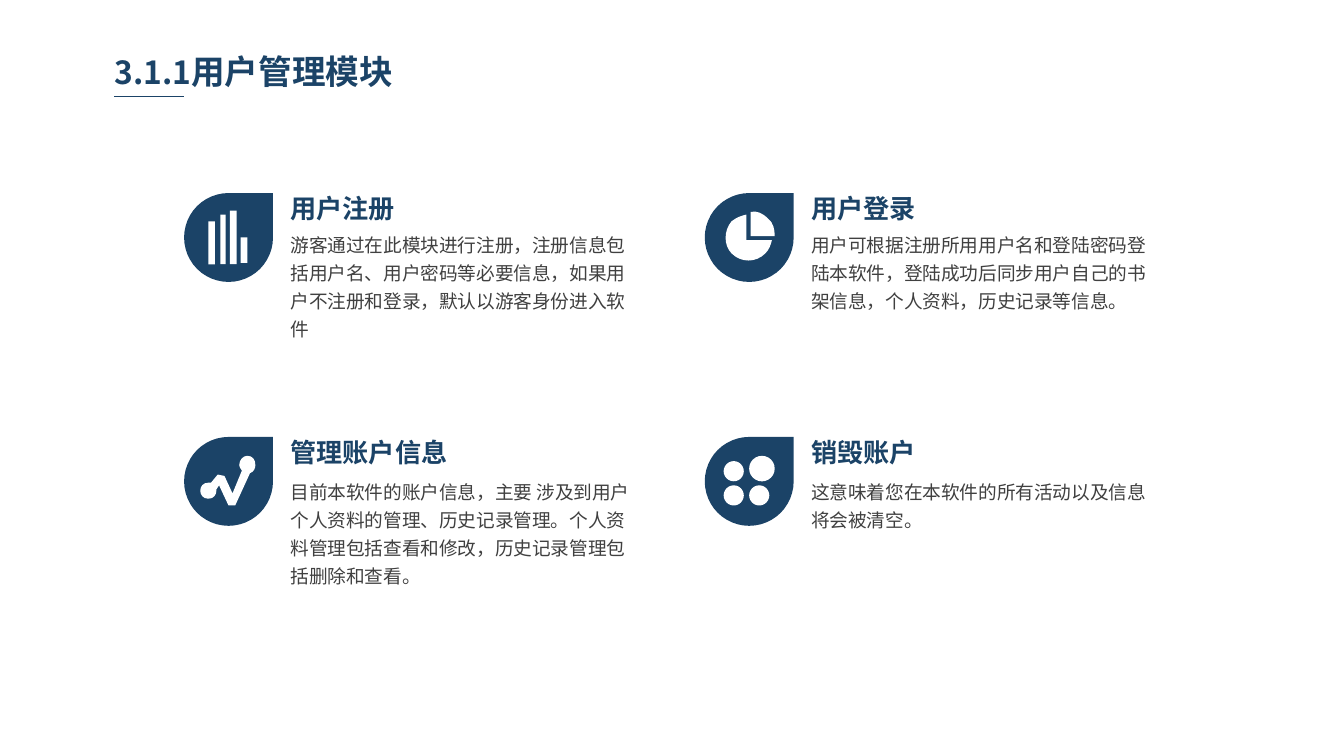
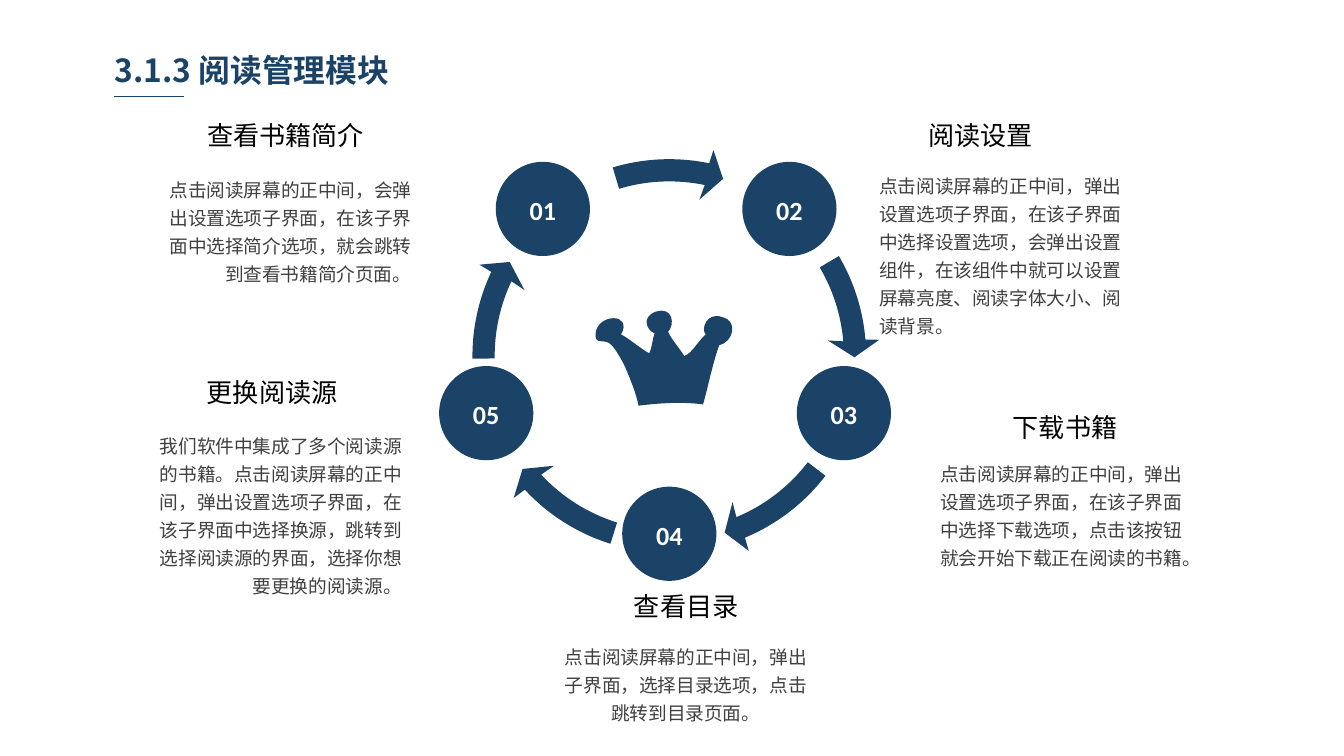
from math import cos, radians, sin, tan

from lxml import etree
from pptx import Presentation
from pptx.dml.color import RGBColor
from pptx.enum.shapes import MSO_CONNECTOR, MSO_SHAPE
from pptx.enum.text import MSO_ANCHOR, MSO_AUTO_SIZE, PP_ALIGN
from pptx.oxml.ns import qn
from pptx.util import Cm, Pt

NAVY = RGBColor(0x1B, 0x43, 0x67)
GREY = RGBColor(0x40, 0x40, 0x40)
BLACK = RGBColor(0, 0, 0)
WHITE = RGBColor(0xFF, 0xFF, 0xFF)
CJK = "Noto Sans CJK SC"
LATIN = "Calibri"

LEFT, CENTER, RIGHT = PP_ALIGN.LEFT, PP_ALIGN.CENTER, PP_ALIGN.RIGHT
TOP = MSO_ANCHOR.TOP
NO_FIT = MSO_AUTO_SIZE.NONE
RECT, OVAL, TEARDROP = MSO_SHAPE.RECTANGLE, MSO_SHAPE.OVAL, MSO_SHAPE.TEAR
STRAIGHT = MSO_CONNECTOR.STRAIGHT

TITLE_ONLY = 5
ICON_UNIT = Cm(0.0254)

# Each outline has a box (left, top, width, height) and steps in icon units:
# a pair is a straight step, six numbers are a cubic curve.
PIE_BODY = ((14, 16, 36, 36), [
    (31, 16), (27, 17, 24, 18, 20, 21), (14, 28, 14, 39, 20, 45),
    (27, 52, 38, 52, 45, 45), (48, 42, 49, 39, 50, 35), (31, 35)])
PIE_SLICE = ((34, 13, 19, 19), [
    (47, 19), (43, 15, 39, 13, 34, 14), (34, 32), (52, 32),
    (52, 27, 51, 22, 47, 19)])
TREND = ((12, 14, 42, 37), [
    (53, 21), (53, 17, 51, 14, 47, 14), (44, 14, 41, 17, 41, 21),
    (41, 22, 42, 24, 43, 25), (36, 42), (30, 29), (25, 28), (20, 34),
    (20, 34, 19, 34, 18, 34), (14, 34, 12, 37, 12, 40),
    (12, 43, 14, 46, 18, 46), (22, 46, 24, 43, 24, 40),
    (24, 40, 24, 39, 24, 39), (26, 36), (33, 51), (38, 51), (49, 27),
    (52, 26, 53, 23, 53, 21)])
CROWN = ((0, 0, 108, 74), [
    (23, 45), (27, 55, 31, 64, 33, 74), (49, 72, 65, 71, 81, 73),
    (85, 59, 88, 43, 93, 29), (103, 27, 108, 11, 95, 8),
    (84, 4, 79, 17, 83, 21), (77, 26, 73, 35, 67, 37),
    (64, 32, 57, 24, 55, 19), (60, 14, 59, 0, 46, 4),
    (34, 8, 40, 19, 45, 20), (43, 26, 43, 31, 41, 35),
    (35, 32, 26, 24, 20, 21), (29, 5, 3, 5, 1, 20),
    (0, 30, 8, 23, 13, 29), (17, 33, 23, 45, 23, 45)])
BARS = [(18, 21, 5, 32), (27, 16, 4, 37), (34, 13, 5, 40), (42, 33, 5, 19)]
DOTS = [(14, 18, 15, 15), (33, 14, 19, 19), (14, 36, 15, 15), (33, 36, 15, 15)]


def add_run(paragraph, text, size, color, font=CJK, bold=False):
    run = paragraph.add_run()
    run.text = text
    run.font.size, run.font.bold, run.font.name = Pt(size), bold, font
    run.font.color.rgb = color
    east_asian = etree.SubElement(run.font._element, qn("a:ea"))
    east_asian.set("typeface", CJK)


def set_frame(frame, wrap=True):
    frame.auto_size = NO_FIT
    frame.word_wrap = wrap
    frame.vertical_anchor = TOP
    frame.margin_left = frame.margin_right = Cm(0.18)
    frame.margin_top = frame.margin_bottom = Cm(0.1)


def add_text(slide, box, text, size, color, font=CJK, bold=False,
             align=LEFT, spacing=None, wrap=True):
    frame = slide.shapes.add_textbox(*map(Cm, box)).text_frame
    set_frame(frame, wrap)
    paragraph = frame.paragraphs[0]
    paragraph.alignment = align
    paragraph.line_spacing = spacing
    add_run(paragraph, text, size, color, font, bold)


def paint(shape, color):
    shape.shadow.inherit = False
    shape.fill.solid()
    shape.fill.fore_color.rgb = color
    shape.line.fill.background()


def add_solid(slide, kind, left, top, width, height, color):
    paint(slide.shapes.add_shape(kind, left, top, width, height), color)


def add_outline(slide, outline, left, top, unit, color):
    """Fill a closed outline of lines and cubic curves, measured in units."""
    (box_x, box_y, width, height), steps = outline
    builder = slide.shapes.build_freeform(*steps[0], scale=unit)
    builder.add_line_segments([step[-2:] for step in steps[1:]], close=True)
    shape = builder.convert_to_shape(left, top)
    shape.left, shape.top = int(left + box_x * unit), int(top + box_y * unit)
    shape.width, shape.height = int(width * unit), int(height * unit)

    route = shape._element.find(".//" + qn("a:path"))
    route.set("w", str(round(width * unit)))
    route.set("h", str(round(height * unit)))
    for command, step in zip(list(route), steps):
        if len(step) == 6:
            curve = etree.Element(qn("a:cubicBezTo"))
            route.replace(command, curve)
            command = curve
        for point in list(command):
            command.remove(point)
        for x, y in zip(step[::2], step[1::2]):
            etree.SubElement(command, qn("a:pt"),
                             x=str(round((x - box_x) * unit)),
                             y=str(round((y - box_y) * unit)))
    paint(shape, color)


def add_titled_slide(prs, title_runs):
    """Add a slide with its underlined title, given as (text, size) runs."""
    slide = prs.slides.add_slide(prs.slide_layouts[TITLE_ONLY])
    title = slide.shapes.title
    title.left, title.top, title.width, title.height = map(
        Cm, (1.98, 0.86, 6.27, 0.95))
    set_frame(title.text_frame)
    paragraph = title.text_frame.paragraphs[0]
    paragraph.alignment = LEFT
    for text, size in title_runs:
        add_run(paragraph, text, size, NAVY, bold=True)
    rule = slide.shapes.add_connector(
        STRAIGHT, Cm(2.16), Cm(1.82), Cm(3.48), Cm(1.82))
    rule.line.color.rgb = NAVY
    rule.line.width = Pt(0.75)
    etree.SubElement(rule._element.spPr, qn("a:effectLst"))
    return slide


def add_icon(slide, left, top, kind, parts):
    """Draw a teardrop badge with white preset parts, or outlines if no kind."""
    left, top = Cm(left), Cm(top)
    add_solid(slide, TEARDROP, left, top, Cm(1.68), Cm(1.68), NAVY)
    for part in parts:
        if kind is None:
            add_outline(slide, part, left, top, ICON_UNIT, WHITE)
        else:
            x, y, width, height = (n * ICON_UNIT for n in part)
            add_solid(slide, kind, left + x, top + y, width, height, WHITE)


def add_feature(slide, left, top, body_gap, heading, body, kind, parts):
    add_icon(slide, left, top, kind, parts)
    text_left = left + 1.83
    add_text(slide, (text_left, top - 0.35, 5.54, 0.79), heading, 14, NAVY,
             bold=True, spacing=1.4)
    add_text(slide, (text_left, top + body_gap, 6.78, 2.51), body, 10, GREY,
             spacing=Pt(15))


def build_user_slide(prs):
    slide = add_titled_slide(prs, [("3.1.1", 17), ("用户管理模块", 18)])
    features = [
        ("用户注册",
         "游客通过在此模块进行注册，注册信息包括用户名、用户密码等必要信息，"
         "如果用户不注册和登录，默认以游客身份进入软件", RECT, BARS),
        ("用户登录",
         "用户可根据注册所用用户名和登陆密码登陆本软件，登陆成功后同步用户自己的"
         "书架信息，个人资料，历史记录等信息。", None, [PIE_BODY, PIE_SLICE]),
        ("管理账户信息",
         "目前本软件的账户信息，主要 涉及到用户个人资料的管理、历史记录管理。"
         "个人资料管理包括查看和修改，历史记录管理包括删除和查看。", None, [TREND]),
        ("销毁账户", "这意味着您在本软件的所有活动以及信息将会被清空。",
         OVAL, DOTS),
    ]
    rows = [(3.65, 0.57), (8.26, 0.63)]
    for i, feature in enumerate(features):
        row, column = divmod(i, 2)
        add_feature(slide, 3.48 + 9.84 * column, *rows[row], *feature)


def polar(radius, angle):
    return radius * cos(radians(angle)), radius * sin(radians(angle))


def arc(radius, start, end):
    """Give one cubic step along a circle around (0, 0)."""
    pull = 4 / 3 * tan(radians(end - start) / 4)
    x0, y0 = polar(radius, start)
    x1, y1 = polar(radius, end)
    return (x0 - pull * y0, y0 + pull * x0, x1 + pull * y1, y1 - pull * x1,
            x1, y1)


def add_cycle_arrow(slide, center_x, center_y, tail, tip):
    """Draw a clockwise arc arrow between two angles in degrees."""
    neck = tip - 5.2
    steps = [polar(372, tail), arc(372, tail, neck), polar(398, neck + 0.4),
             polar(350, tip), polar(301, neck - 0.8), polar(330, neck),
             arc(330, neck, tail), polar(372, tail)]
    ring = (-399, -399, 798, 798)
    add_outline(slide, (ring, steps), Cm(center_x), Cm(center_y), Cm(0.01),
                NAVY)


def add_station(slide, left, top, number):
    add_solid(slide, OVAL, Cm(left), Cm(top), Cm(1.78), Cm(1.78), NAVY)
    add_text(slide, (left + 0.38, top + 0.51, 1.02, 0.86), f"{number:02}",
             14, WHITE, LATIN, bold=True, align=CENTER, wrap=False)


def add_cycle(slide, center_x, center_y):
    arrows = [(-30.5, 0.4), (37.5, 72.6), (107.4, 142.4),
              (179.2, 210.5), (253.3, 286.9)]
    for tail, tip in arrows:
        add_cycle_arrow(slide, center_x, center_y, tail, tip)
    stations = [(-3.28, -3.67), (1.38, -3.67), (2.41, 0.19),
                (-0.89, 2.47), (-4.35, 0.19)]
    for number, (x, y) in enumerate(stations, 1):
        add_station(slide, center_x + x, center_y + y, number)
    add_outline(slide, CROWN, Cm(center_x - 1.42), Cm(center_y - 0.94),
                ICON_UNIT, NAVY)


def add_topic(slide, heading_at, body_at, height, align, heading, body):
    heading_width = 0.49 * len(heading) + 0.42
    add_text(slide, (*heading_at, heading_width, 0.79), heading, 14, BLACK,
             align=CENTER, wrap=False)
    add_text(slide, (*body_at, 5.18, height), body, 10, GREY, LATIN,
             align=align, spacing=Pt(15))


def build_reading_slide(prs):
    slide = add_titled_slide(prs, [("3.1.3 阅读管理模块", 17)])
    add_cycle(slide, 12.65, 6.73)
    topics = [
        ((3.72, 2.16), (2.77, 3.18), 2.29, RIGHT, "查看书籍简介",
         "点击阅读屏幕的正中间，会弹出设置选项子界面，在该子界面中选择简介选项，"
         "就会跳转到查看书籍简介页面。"),
        ((17.34, 2.16), (16.44, 3.1), 3.35, LEFT, "阅读设置",
         "点击阅读屏幕的正中间，弹出设置选项子界面，在该子界面中选择设置选项，"
         "会弹出设置组件，在该组件中就可以设置屏幕亮度、阅读字体大小、阅读背景。"),
        ((18.94, 7.67), (17.59, 8.55), 2.29, LEFT, "下载书籍",
         "点击阅读屏幕的正中间，弹出设置选项子界面，在该子界面中选择下载选项，"
         "点击该按钮就会开始下载正在阅读的书籍。"),
        ((11.78, 11.06), (10.37, 12.01), 1.8, CENTER, "查看目录",
         "点击阅读屏幕的正中间，弹出子界面，选择目录选项，点击跳转到目录页面。"),
        ((3.71, 7.01), (2.59, 8.02), 3.35, RIGHT, "更换阅读源",
         "我们软件中集成了多个阅读源的书籍。点击阅读屏幕的正中间，弹出设置选项"
         "子界面，在该子界面中选择换源，跳转到选择阅读源的界面，"
         "选择你想要更换的阅读源。"),
    ]
    for topic in topics:
        add_topic(slide, *topic)


def main():
    prs = Presentation()
    prs.slide_width, prs.slide_height = Cm(25.4), Cm(14.29)
    build_user_slide(prs)
    build_reading_slide(prs)
    prs.save("out.pptx")


if __name__ == "__main__":
    main()
